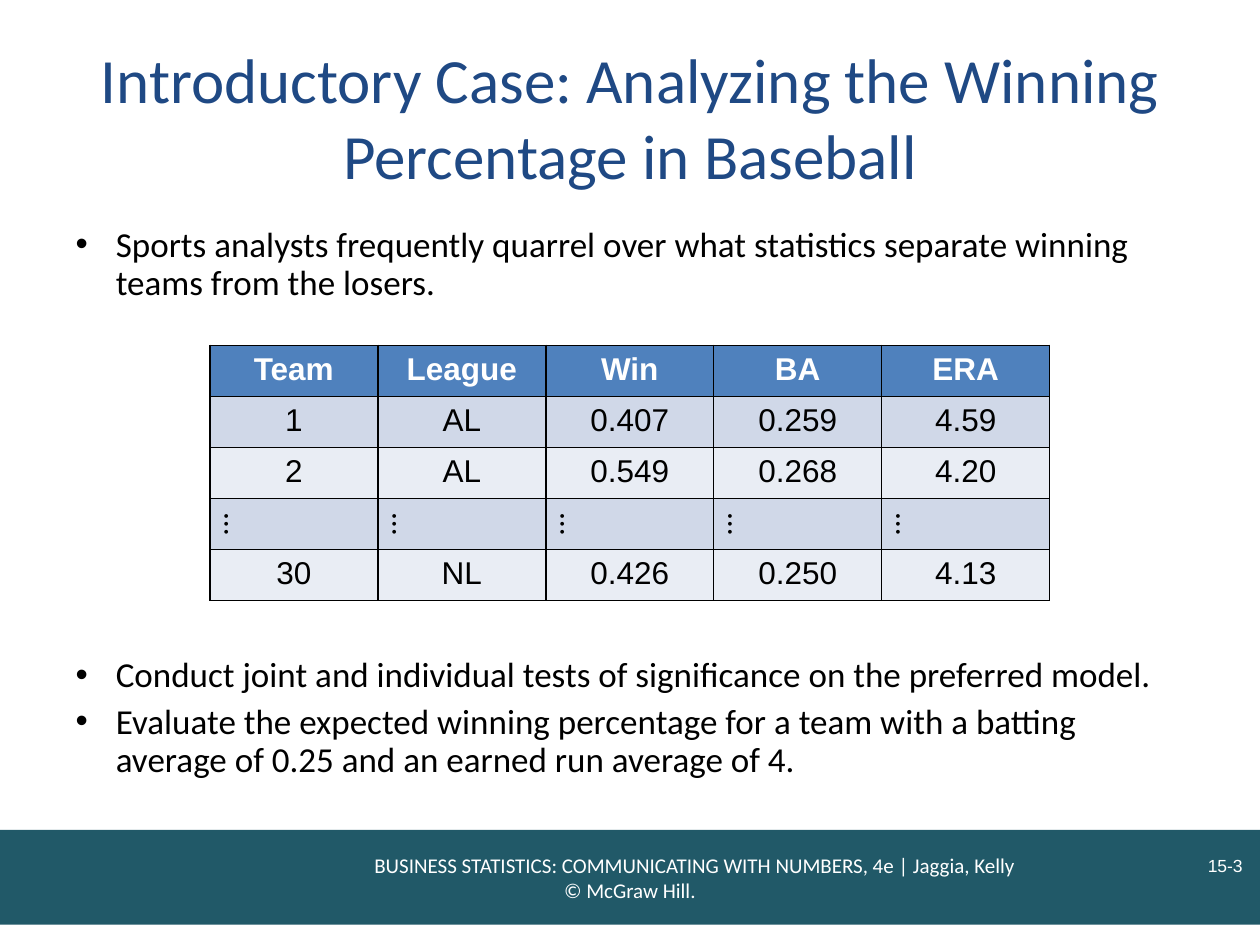
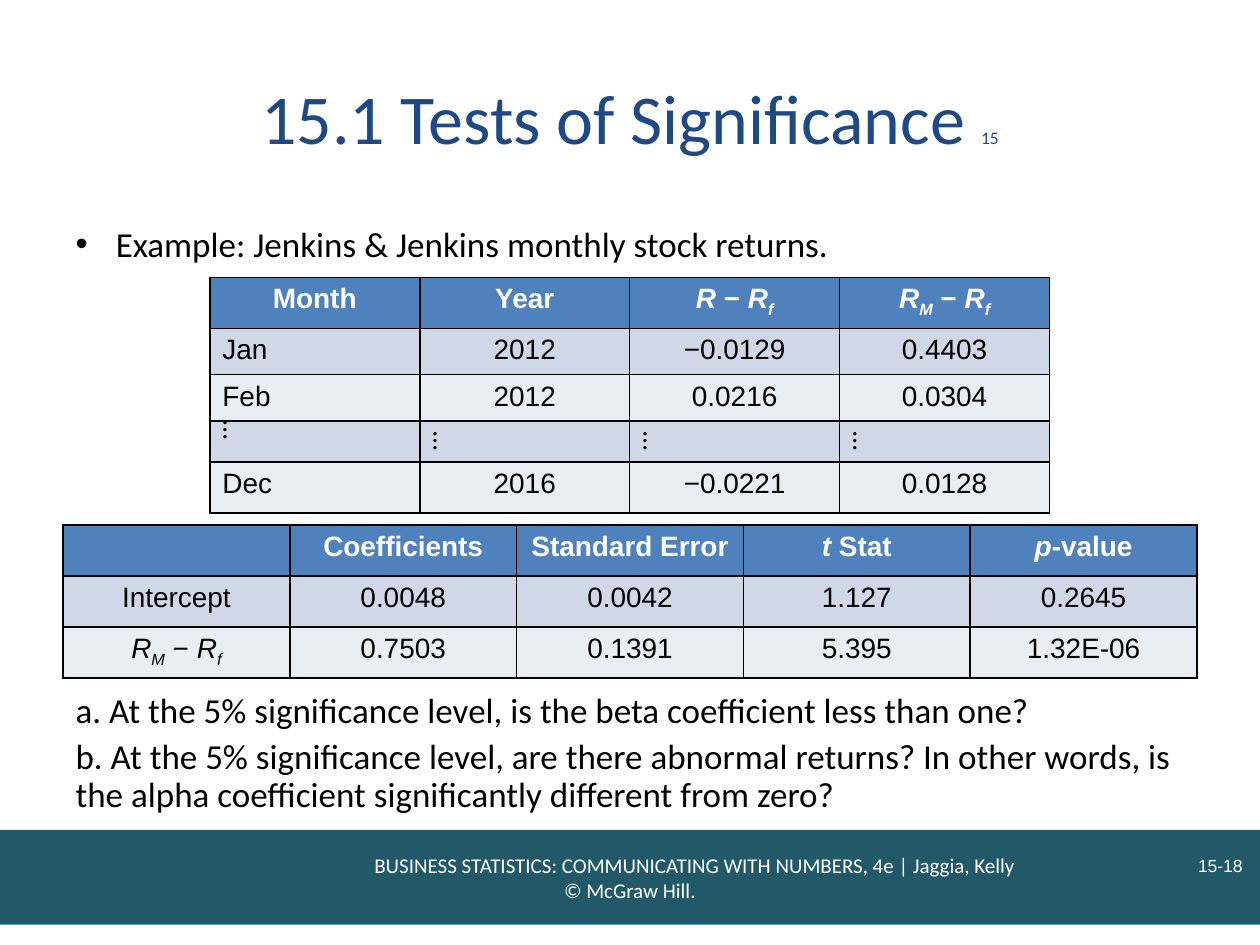
from lxml.etree import SubElement as Sub
from pptx import Presentation as Deck
from pptx.dml.color import RGBColor as Rgb
from pptx.enum.shapes import MSO_SHAPE as Kind
from pptx.enum.text import MSO_ANCHOR as Anc, MSO_AUTO_SIZE as Fit, PP_ALIGN as Al
from pptx.oxml.ns import qn
from pptx.util import Cm, Pt

NAVY, TEAL, WHITE, BLACK = "1F4984", "215968", "FFFFFF", "000000"
HEAD, BANDS = "4F81BD", ("D0D8E8", "E9EDF4")
DOTS = "…"
FOOT = ("BUSINESS STATISTICS: COMMUNICATING WITH NUMBERS, 4e | Jaggia, Kelly",
        "© McGraw Hill.")
WIDE = 25.4
LEFT, SPAN = 1.27, 22.86
MID = (4.23, 16.93)

# In a cell, "|" parts runs, "/" marks italic and "_" an italic subscript.
SLIDES = [
    {
        "title": [("Introductory Case: Analyzing the Winning Percentage in Baseball", 36)],
        "page": "15-3",
        "lists": [
            (4.45, 1.88, True, [
                "Sports analysts frequently quarrel over what statistics separate "
                "winning teams from the losers."]),
            (13.13, 3.38, True, [
                "Conduct joint and individual tests of significance on the preferred model.",
                "Evaluate the expected winning percentage for a team with a batting "
                "average of 0.25 and an earned run average of 4."]),
        ],
        "grids": [{
            "box": (*MID, 6.96), "size": 18, "lead": Al.CENTER,
            "rows": [1.03] * 5,
            "cells": [
                ["Team", "League", "Win", "BA", "ERA"],
                ["1", "AL", "0.407", "0.259", "4.59"],
                ["2", "AL", "0.549", "0.268", "4.20"],
                [DOTS] * 5,
                ["30", "NL", "0.426", "0.250", "4.13"],
            ],
        }],
    },
    {
        "title": [("15.1 Tests of Significance ", 40), ("15", 10)],
        "page": "15-18",
        "lists": [
            (4.45, 0.91, True, ["Example: Jenkins & Jenkins monthly stock returns."]),
            (13.84, 2.74, False, [
                "a. At the 5% significance level, is the beta coefficient less than one?",
                "b. At the 5% significance level, are there abnormal returns? In other "
                "words, is the alpha coefficient significantly different from zero?"]),
        ],
        "grids": [
            {
                "box": (*MID, 5.59), "size": 16, "lead": Al.LEFT,
                "rows": [1.03, 0.88, 0.88, 0.83, 1.03],
                "cells": [
                    ["Month", "Year", "/R| − |/R|_f", "/R|_M| − |/R|_f"],
                    ["Jan", "2012", "−0.0129", "0.4403"],
                    ["Feb", "2012", "0.0216", "0.0304"],
                    [DOTS] * 4,
                    ["Dec", "2016", "−0.0221", "0.0128"],
                ],
            },
            {
                "box": (LEFT, SPAN, 10.58), "size": 16, "lead": Al.CENTER,
                "rows": [1.03] * 3,
                "cells": [
                    ["", "Coefficients", "Standard Error", "/t| Stat", "/p|-value"],
                    ["Intercept", "0.0048", "0.0042", "1.127", "0.2645"],
                    ["/R|_M| − |/R|_f", "0.7503", "0.1391", "5.395", "1.32E-06"],
                ],
            },
        ],
    },
]


def rgb(code):
    return Rgb.from_string(code)


def style(part, **form):
    for key, val in form.items():
        setattr(part, key, val)


def paint(part, code):
    part.fill.solid()
    part.fill.fore_color.rgb = rgb(code)


def place(part, left, top, width, height):
    style(part, left=Cm(left), top=Cm(top), width=Cm(width), height=Cm(height))


def write(para, text, size, hue, face="Calibri", **form):
    run = para.add_run()
    run.text = text
    style(run.font, size=Pt(size), name=face, **form)
    run.font.color.rgb = rgb(hue)
    return run


def lines(frame, texts):
    for i, text in enumerate(texts):
        yield i, text, frame.add_paragraph() if i else frame.paragraphs[0]


def footer(slide, page):
    band = slide.shapes.add_shape(Kind.RECTANGLE, 0, Cm(16.73), Cm(WIDE), Cm(1.91))
    band.shadow.inherit = False
    paint(band, TEAL)
    band.line.fill.background()
    frame = band.text_frame
    frame.vertical_anchor = Anc.MIDDLE
    for i, text, para in lines(frame, FOOT):
        para.alignment = Al.CENTER
        if i == 0:
            para._p.get_or_add_pPr().set("marL", str(Cm(2.62)))
        write(para, text, 12, WHITE)
    box = slide.shapes.add_textbox(Cm(21.49), Cm(16.51), Cm(3.81), Cm(1.27))
    style(box.text_frame, word_wrap=True, vertical_anchor=Anc.BOTTOM)
    para = box.text_frame.paragraphs[0]
    para.alignment = Al.RIGHT
    write(para, page, 10, WHITE, "Arial")


def title(shape, runs):
    place(shape, LEFT, 0.76, SPAN, 3.18)
    style(shape.text_frame, auto_size=Fit.NONE, vertical_anchor=Anc.MIDDLE)
    para = shape.text_frame.paragraphs[0]
    para.alignment = Al.CENTER
    for text, size in runs:
        write(para, text, size, NAVY)


def body(shape, top, height, dot, texts):
    place(shape, LEFT, top, SPAN, height)
    style(shape.text_frame, auto_size=Fit.NONE, vertical_anchor=Anc.TOP)
    inset = Cm(0.81) if dot else 0
    for i, text, para in lines(shape.text_frame, texts):
        prop = para._p.get_or_add_pPr()
        prop.set("marL", str(inset))
        prop.set("indent", str(-inset))
        if dot:
            Sub(prop, qn("a:buFont"), typeface="Arial")
            Sub(prop, qn("a:buChar"), char="•")
        else:
            Sub(prop, qn("a:buNone"))
        style(para, line_spacing=0.9, space_before=Pt(5 if i else 0))
        write(para, text, 20, BLACK)


def edges(cell):
    prop = cell._tc.get_or_add_tcPr()
    for side in "LRTB":
        line = Sub(prop, qn("a:ln" + side), w=str(Pt(1)))
        Sub(Sub(line, qn("a:solidFill")), qn("a:srgbClr"), val=BLACK)


def fill(cell, text, size, top, align):
    para = cell.text_frame.paragraphs[0]
    para.alignment = align
    if text == DOTS:
        cell._tc.get_or_add_tcPr().set("vert", "vert")
        style(cell, vertical_anchor=Anc.MIDDLE,
              margin_left=Cm(1.04), margin_right=Cm(1.04))
    for bit in filter(None, text.split("|")):
        run = write(para, bit.lstrip("/_"), size, WHITE if top else BLACK,
                    "Calibri" if text == DOTS else "Arial",
                    bold=top, italic=bit[0] in "/_")
        if bit[0] == "_":
            run.font._element.set("baseline", "-25000")


def grid(slide, box, size, lead, rows, cells):
    left, width, top = box
    count = len(cells[0])
    table = slide.shapes.add_table(len(rows), count, Cm(left), Cm(top),
                                   Cm(width), Cm(sum(rows))).table
    for col in table.columns:
        col.width = Cm(width / count)
    for r, (high, texts) in enumerate(zip(rows, cells)):
        table.rows[r].height = Cm(high)
        for c, text in enumerate(texts):
            cell = table.cell(r, c)
            edges(cell)
            paint(cell, BANDS[(r - 1) % 2] if r else HEAD)
            fill(cell, text, size, r == 0, Al.CENTER if c or not r else lead)


def main():
    deck = Deck()
    style(deck, slide_width=Cm(WIDE), slide_height=Cm(19.05))
    for data in SLIDES:
        slide = deck.slides.add_slide(deck.slide_layouts[3])
        footer(slide, data["page"])
        title(slide.shapes.title, data["title"])
        for spot, item in enumerate(data["lists"], 1):
            body(slide.placeholders[spot], *item)
        for item in data["grids"]:
            grid(slide, **item)
    deck.save("out.pptx")


if __name__ == "__main__":
    main()
